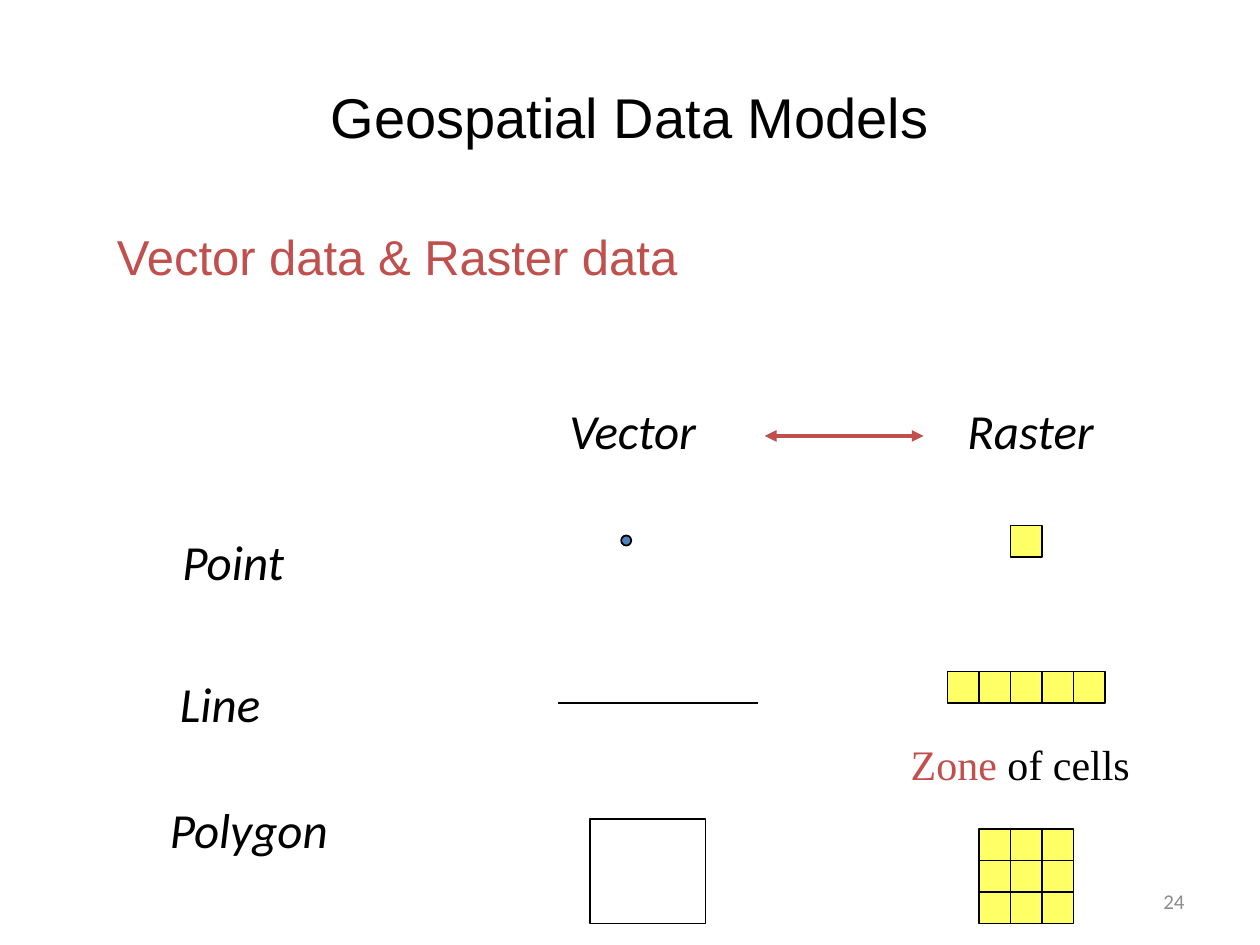
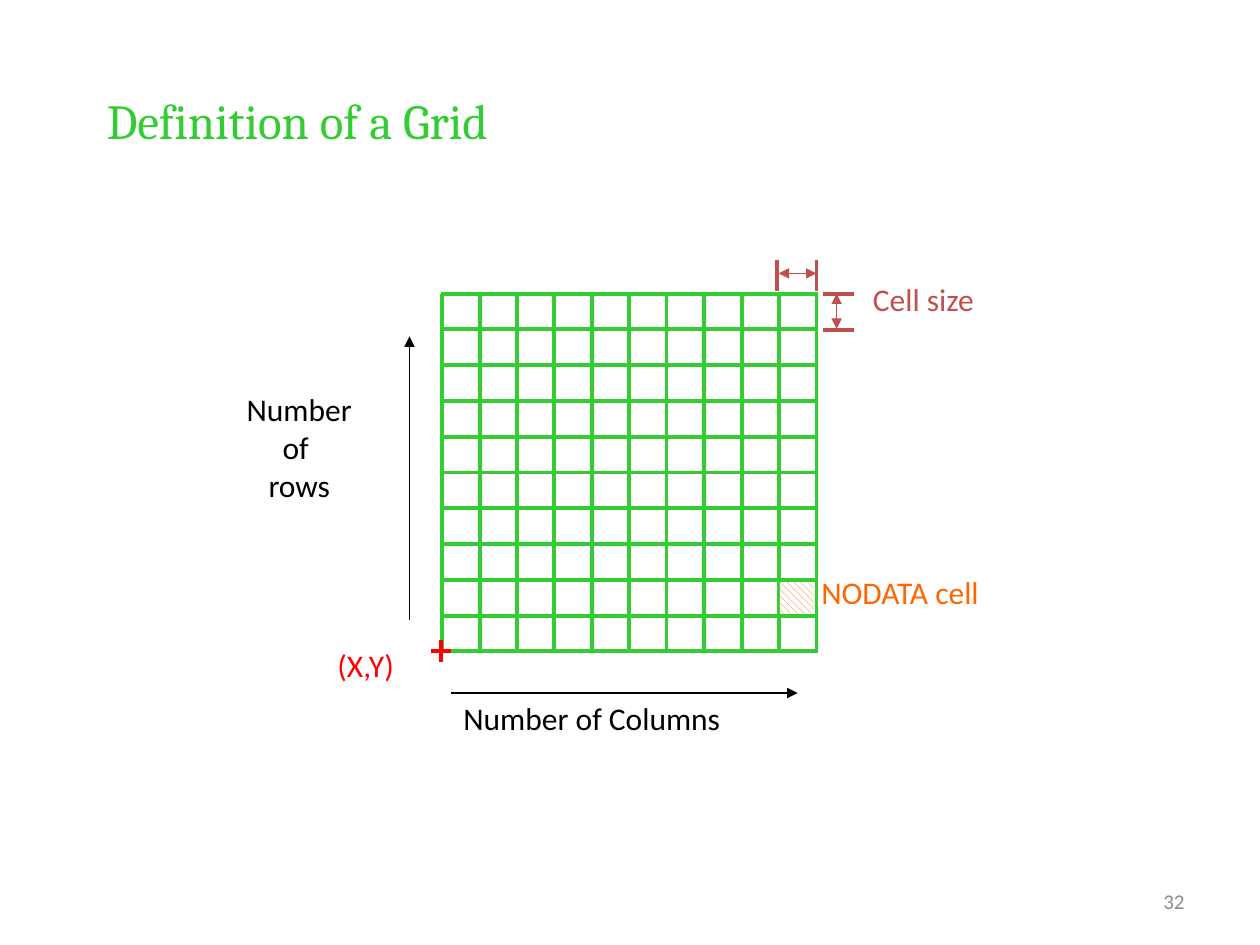
from pptx import Presentation
from pptx.dml.color import RGBColor
from pptx.enum.dml import MSO_PATTERN as Pattern
from pptx.enum.shapes import MSO_CONNECTOR as Wire, MSO_SHAPE as Form
from pptx.enum.text import MSO_ANCHOR as Anchor, PP_ALIGN as Align
from pptx.oxml.ns import qn
from pptx.util import Pt
from lxml.etree import SubElement

SCALE = 9144
BLACK = RGBColor(0x00, 0x00, 0x00)
WHITE = RGBColor(0xFF, 0xFF, 0xFF)
GRAY = RGBColor(0x8C, 0x8C, 0x8C)
BRICK = RGBColor(0xC0, 0x50, 0x4D)
BLUE = RGBColor(0x4F, 0x81, 0xBD)
YELLOW = RGBColor(0xFF, 0xFF, 0x66)
GREEN = RGBColor(0x33, 0xCC, 0x33)
RED = RGBColor(0xFF, 0x00, 0x00)
ORANGE = RGBColor(0xFF, 0x66, 0x00)


class Deck:
    """Draws styled elements on the current slide, in px of 1/100 inch."""

    def __init__(self, wide, high):
        self.show = Presentation()
        self.show.slide_width = wide * SCALE
        self.show.slide_height = high * SCALE

    def page(self, number):
        self.slide = self.show.slides.add_slide(self.show.slide_layouts[6])
        self.text(717, 695, 233, 40, str(number), 12, GRAY,
                  align=Align.RIGHT, anchor=Anchor.MIDDLE)

    def text(self, x, y, w, h, words, size=18, color=BLACK, face="Calibri",
             italic=False, align=Align.LEFT, anchor=Anchor.TOP):
        box = self.slide.shapes.add_textbox(*(n * SCALE for n in (x, y, w, h)))
        frame = box.text_frame
        frame.word_wrap = True
        frame.vertical_anchor = anchor
        frame.text = words
        for par in frame.paragraphs:
            par.alignment = align
            font = par.font
            font.name, font.size, font.italic = face, Pt(size), italic
            font.color.rgb = color
        return frame

    def shape(self, x, y, w, h, fill=None, form=Form.RECTANGLE):
        item = self.slide.shapes.add_shape(
            form, *(n * SCALE for n in (x, y, w, h)))
        item.shadow.inherit = False
        item.line.color.rgb = BLACK
        item.line.width = Pt(1)
        if fill is None:
            item.fill.background()
        else:
            item.fill.solid()
            item.fill.fore_color.rgb = fill
        return item

    def hatch(self, x, y, w, h, color):
        item = self.shape(x, y, w, h)
        item.line.fill.background()
        item.fill.patterned()
        item.fill.pattern = Pattern.WIDE_DOWNWARD_DIAGONAL
        item.fill.fore_color.rgb = color
        item.fill.back_color.rgb = WHITE

    def cells(self, x, y, cols, rows, side=25):
        for row in range(rows):
            for col in range(cols):
                self.shape(x + col * side, y + row * side, side, side, YELLOW)

    def line(self, x1, y1, x2, y2, color=BLACK, width=2.25, ends=()):
        wire = self.slide.shapes.add_connector(
            Wire.STRAIGHT, *(n * SCALE for n in (x1, y1, x2, y2)))
        wire.line.color.rgb = color
        wire.line.width = Pt(width)
        for end in ends:
            SubElement(wire.line._ln, qn(f"a:{end}End"), type="triangle")
        SubElement(wire._element.spPr, qn("a:effectLst"))

    def mesh(self, left, top, right, base, count, color):
        for i in range(count + 1):
            x = left + round(i * (right - left) / count)
            y = top + round(i * (base - top) / count)
            self.line(left - 1, y, right + 1, y, color)
            self.line(x, top, x, base, color)


def models(deck):
    deck.page(24)
    deck.text(50, 30, 900, 125, "Geospatial Data Models", 32, face="Arial",
              align=Align.CENTER, anchor=Anchor.MIDDLE)
    deck.text(83, 175, 480, 57, "Vector data & Raster data", 28, BRICK, "Arial")
    for x, y, name in ((442, 313, "Vector"), (758, 313, "Raster"),
                       (135, 417, "Point"), (133, 530, "Line"),
                       (125, 630, "Polygon")):
        deck.text(x, y, 150, 57, name, 28, italic=True)
    deck.line(607, 346, 733, 346, BRICK, ends=("head", "tail"))

    deck.shape(493, 425, 8, 8, BLUE, Form.OVAL)
    deck.line(443, 558, 602, 558, width=1)
    deck.shape(468, 650, 92, 83)

    deck.cells(802, 417, 1, 1)
    deck.cells(752, 533, 5, 1)
    deck.cells(777, 658, 3, 3)
    zone = deck.text(713, 581, 210, 50, "Zone", 24, face="Times New Roman")
    par = zone.paragraphs[0]
    par.runs[0].font.color.rgb = BRICK
    par.add_run().text = " of cells"


def grid(deck):
    deck.page(32)
    deck.text(75, 67, 850, 125, "Definition of a Grid", 28, GREEN, "Cambria")
    deck.mesh(351, 233, 648, 517, 10, GREEN)

    deck.line(325, 267, 325, 492, width=0.75, ends=("head",))
    deck.text(173, 305, 129, 130, "Number\nof \nrows", align=Align.CENTER)
    deck.line(358, 550, 633, 550, width=0.75, ends=("tail",))
    deck.text(358, 550, 294, 50, "Number of Columns")

    deck.line(350, 508, 350, 525, RED)
    deck.line(342, 517, 358, 517, RED)
    deck.text(258, 508, 99, 50, "(X,Y)", color=RED)

    for y in (233, 262):
        deck.line(653, y, 678, y, BRICK)
    for x in (617, 648):
        deck.line(x, 206, x, 231, BRICK)
    deck.line(618, 217, 648, 217, BRICK, 0.75, ("head", "tail"))
    deck.line(664, 261, 664, 233, BRICK, 0.75, ("head", "tail"))
    deck.text(683, 217, 136, 50, "Cell size", color=BRICK)

    deck.hatch(619, 462, 27, 25, ORANGE)
    deck.text(642, 450, 217, 50, "NODATA cell", color=ORANGE)


def main():
    deck = Deck(1000, 750)
    models(deck)
    grid(deck)
    deck.show.save("out.pptx")


if __name__ == "__main__":
    main()
